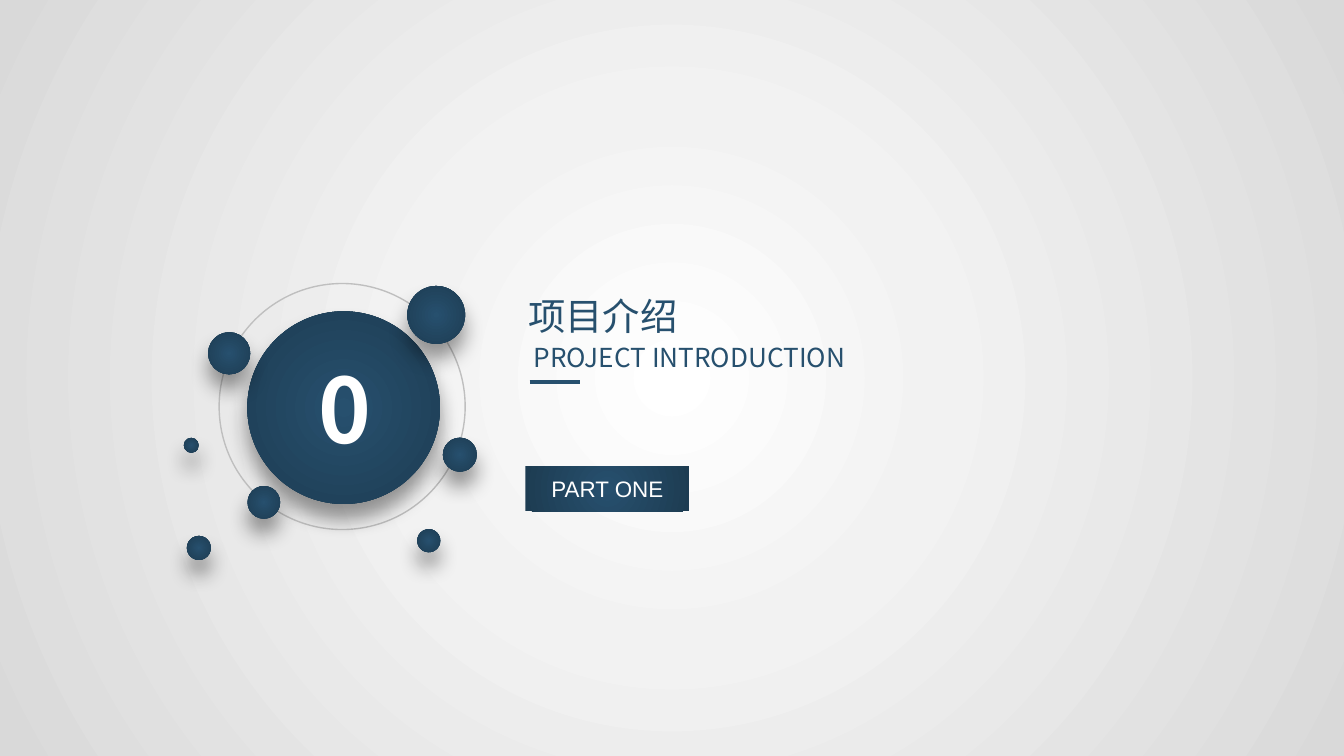
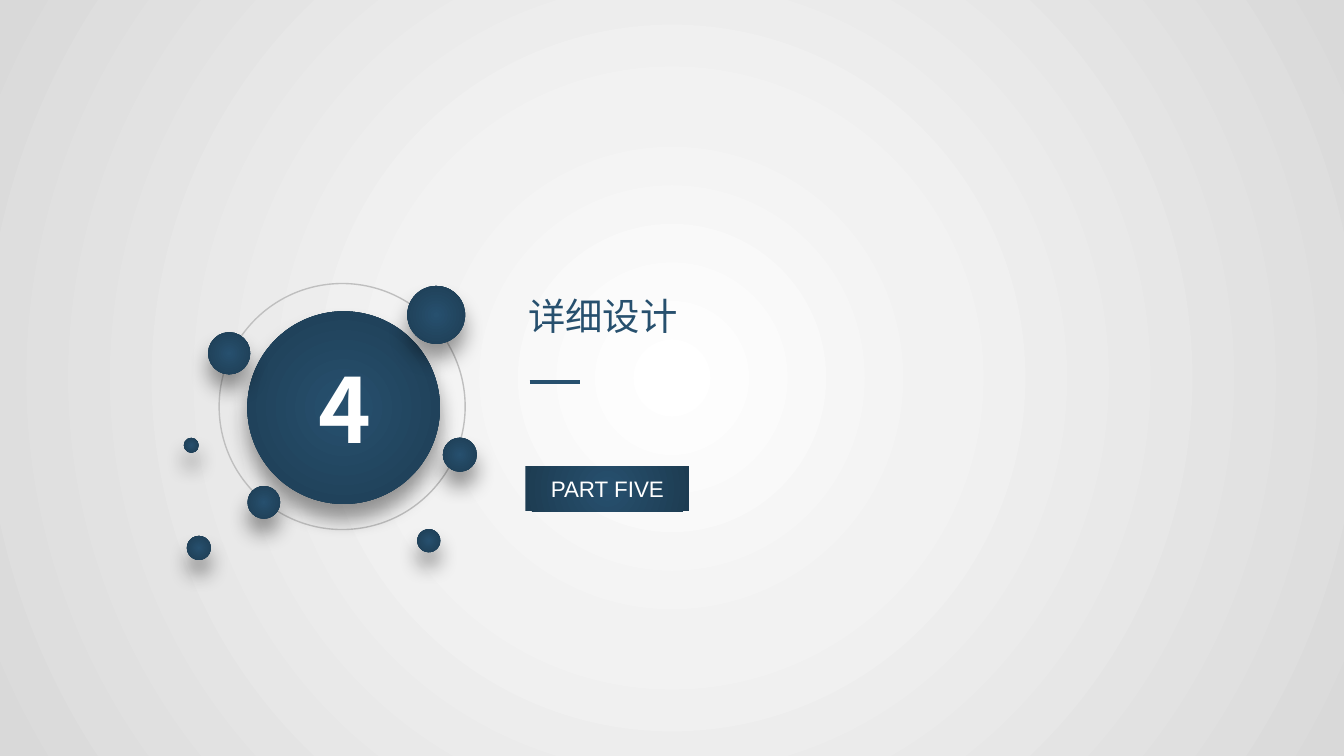
from typing import NamedTuple

from pptx import Presentation
from pptx.dml.color import RGBColor
from pptx.enum.shapes import MSO_CONNECTOR, MSO_SHAPE
from pptx.enum.text import MSO_ANCHOR, MSO_AUTO_SIZE, PP_ALIGN
from pptx.oxml import parse_xml
from pptx.oxml.ns import nsdecls, qn
from pptx.shapes.autoshape import Shape
from pptx.slide import Slide
from pptx.text.text import TextFrame
from pptx.util import Pt

HEX = {
    "navy": "27506E",
    "deep": "1D3C52",
    "white": "FFFFFF",
    "pale": "F2F2F2",
    "grey": "D9D9D9",
    "ring": "BFBFBF",
    "shade": "000000",
}
SANS, LATIN = "Noto Sans CJK SC", "Arial"
BACK = [(0, "white"), (35, "pale"), (100, "grey")]
BLUE = [(0, "navy"), (100, "deep")]


class Box(NamedTuple):
    left: float
    top: float
    width: float
    height: float


class Disc(NamedTuple):
    left: float
    top: float
    size: float

    def box(self) -> Box:
        return Box(self.left, self.top, self.size, self.size)


class Style(NamedTuple):
    size: float
    font: str
    color: str
    bold: bool = False
    align: PP_ALIGN = PP_ALIGN.CENTER


class Part(NamedTuple):
    number: str
    title: str
    tag: str
    english: str = ""


RING = Disc(117.4, 151.9, 131.8)
MAIN = Disc(132.5, 166.8, 103.2)
DOTS = [
    Disc(218.2, 153.2, 31),
    Disc(111.5, 178, 22.6),
    Disc(100.1, 287.1, 12.9),
    Disc(132.6, 260.4, 17.5),
    Disc(237.3, 234.5, 18.2),
    Disc(223.5, 283.5, 12.4),
    Disc(98.5, 234.6, 8),
]
NUMBER = Box(163.4, 185.8, 38.9, 65.5)
TITLE = Box(275.8, 153.4, 95.8, 31.7)
ENGLISH = Box(265, 179.3, 208.8, 24.5)
TAG = Box(281.5, 249.9, 87.8, 24)
RULE = Box(283.8, 204.5, 27, 0)

BIG = Style(48, SANS, "white", bold=True)
HEAD = Style(20, SANS, "navy", align=PP_ALIGN.LEFT)
SUB = Style(14, SANS, "navy")
LABEL = Style(12, LATIN, "white")

PARTS = [
    Part("0", "项目介绍", "PART ONE", "PROJECT INTRODUCTION"),
    Part("4", "详细设计", "PART FIVE"),
]


def rgb(name: str) -> RGBColor:
    return RGBColor.from_string(HEX[name])


def glow(owner: Slide | Shape, stops: list[tuple[int, str]]) -> None:
    """Fill a slide background or a shape with a gradient from its centre."""
    fill = owner.background.fill if isinstance(owner, Slide) else owner.fill
    fill.gradient()
    old = next(owner.element.iter(qn("a:gradFill")))
    marks = "".join(
        f'<a:gs pos="{pos * 1000}"><a:srgbClr val="{HEX[name]}"/></a:gs>'
        for pos, name in stops
    )
    new = parse_xml(
        f'<a:gradFill {nsdecls("a")} rotWithShape="1"><a:gsLst>{marks}</a:gsLst>'
        '<a:path path="circle"><a:fillToRect l="50000" t="50000" r="50000" '
        'b="50000"/></a:path></a:gradFill>'
    )
    old.getparent().replace(old, new)


def shade(shape: Shape) -> None:
    """Drop a soft shadow straight down."""
    effects = next(shape.element.iter(qn("a:effectLst")))
    effects.append(parse_xml(
        f'<a:outerShdw {nsdecls("a")} blurRad="{Pt(11)}" dist="{Pt(8)}" '
        f'dir="5400000" algn="t" rotWithShape="0"><a:srgbClr val="{HEX["shade"]}">'
        '<a:alpha val="40000"/></a:srgbClr></a:outerShdw>'
    ))


def add_form(slide: Slide, kind: MSO_SHAPE, box: Box) -> Shape:
    shape = slide.shapes.add_shape(kind, *map(Pt, box))
    shape.shadow.inherit = False
    shape.line.fill.background()
    return shape


def add_ring(slide: Slide) -> None:
    ring = add_form(slide, MSO_SHAPE.OVAL, RING.box())
    ring.fill.background()
    ring.line.color.rgb = rgb("ring")
    ring.line.width = Pt(0.75)


def add_disc(slide: Slide, disc: Disc) -> None:
    shape = add_form(slide, MSO_SHAPE.OVAL, disc.box())
    glow(shape, BLUE)
    shade(shape)


def write(frame: TextFrame, text: str, style: Style) -> None:
    para = frame.paragraphs[0]
    para.alignment = style.align
    run = para.add_run()
    run.text = text
    font = run.font
    font.size = Pt(style.size)
    font.bold = style.bold
    font.name = style.font
    font.color.rgb = rgb(style.color)
    latin = next(para.runs[0].font._element.iter(qn("a:latin")))
    latin.addnext(parse_xml(f'<a:ea {nsdecls("a")} typeface="{style.font}"/>'))


def add_text(slide: Slide, box: Box, text: str, style: Style) -> None:
    frame = slide.shapes.add_textbox(*map(Pt, box)).text_frame
    frame.word_wrap = False
    frame.auto_size = MSO_AUTO_SIZE.SHAPE_TO_FIT_TEXT
    write(frame, text, style)


def add_rule(slide: Slide) -> None:
    left, top, width, _ = RULE
    rule = slide.shapes.add_connector(
        MSO_CONNECTOR.STRAIGHT, Pt(left), Pt(top), Pt(left + width), Pt(top)
    )
    rule.line.color.rgb = rgb("navy")
    rule.line.width = Pt(2.25)
    rule.element.spPr.append(parse_xml(f'<a:effectLst {nsdecls("a")}/>'))


def add_tag(slide: Slide, text: str) -> None:
    tag = add_form(slide, MSO_SHAPE.RECTANGLE, TAG)
    glow(tag, BLUE)
    tag.text_frame.vertical_anchor = MSO_ANCHOR.MIDDLE
    write(tag.text_frame, text, LABEL)


def add_part(slide: Slide, part: Part) -> None:
    glow(slide, BACK)
    add_ring(slide)
    add_disc(slide, MAIN)
    add_text(slide, NUMBER, part.number, BIG)
    add_text(slide, TITLE, part.title, HEAD)
    if part.english:
        add_text(slide, ENGLISH, part.english, SUB)
    add_rule(slide)
    add_tag(slide, part.tag)
    for dot in DOTS:
        add_disc(slide, dot)


def main() -> None:
    deck = Presentation()
    deck.slide_width, deck.slide_height = Pt(720), Pt(405)
    blank = deck.slide_layouts[6]
    for part in PARTS:
        add_part(deck.slides.add_slide(blank), part)
    deck.save("out.pptx")


if __name__ == "__main__":
    main()
